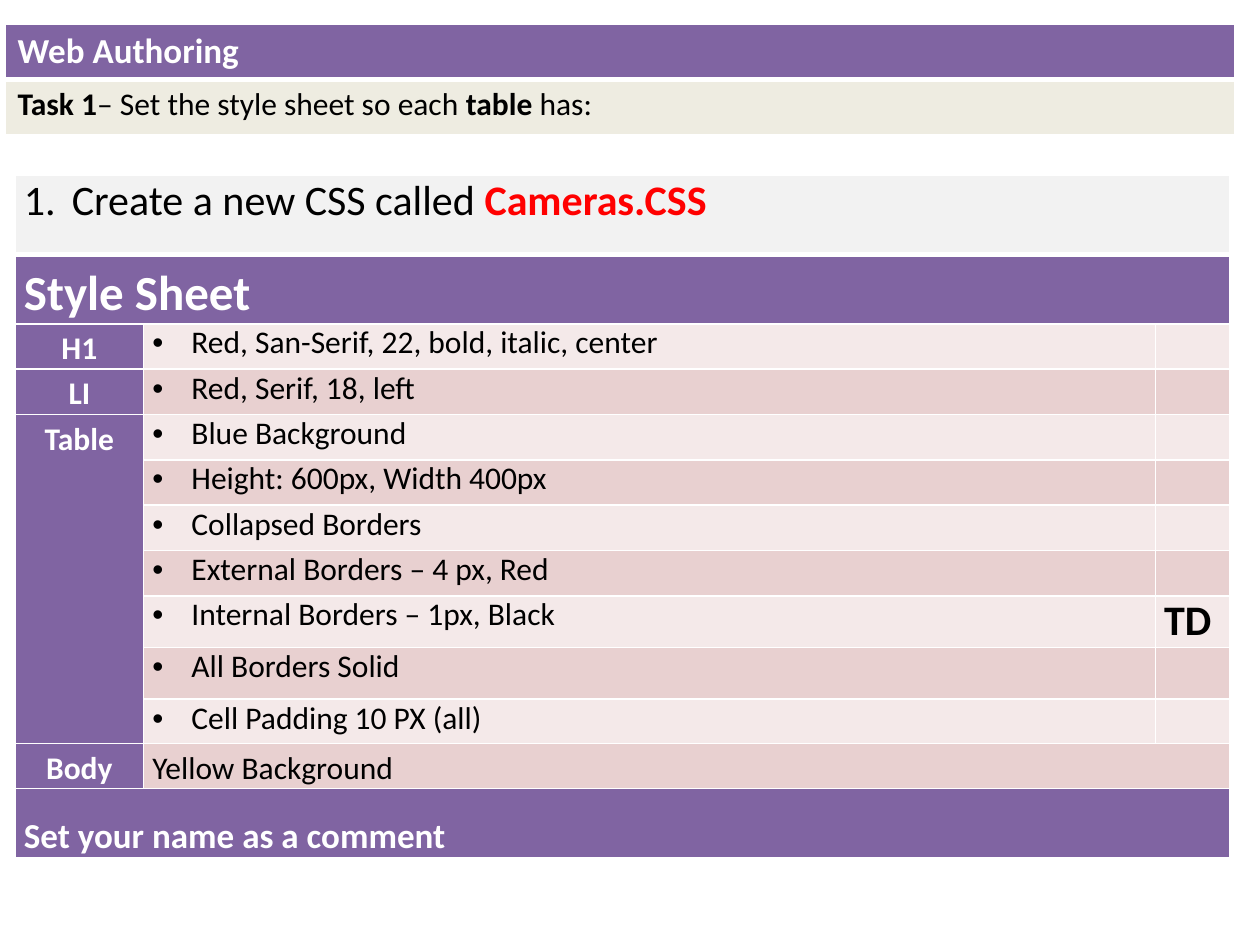
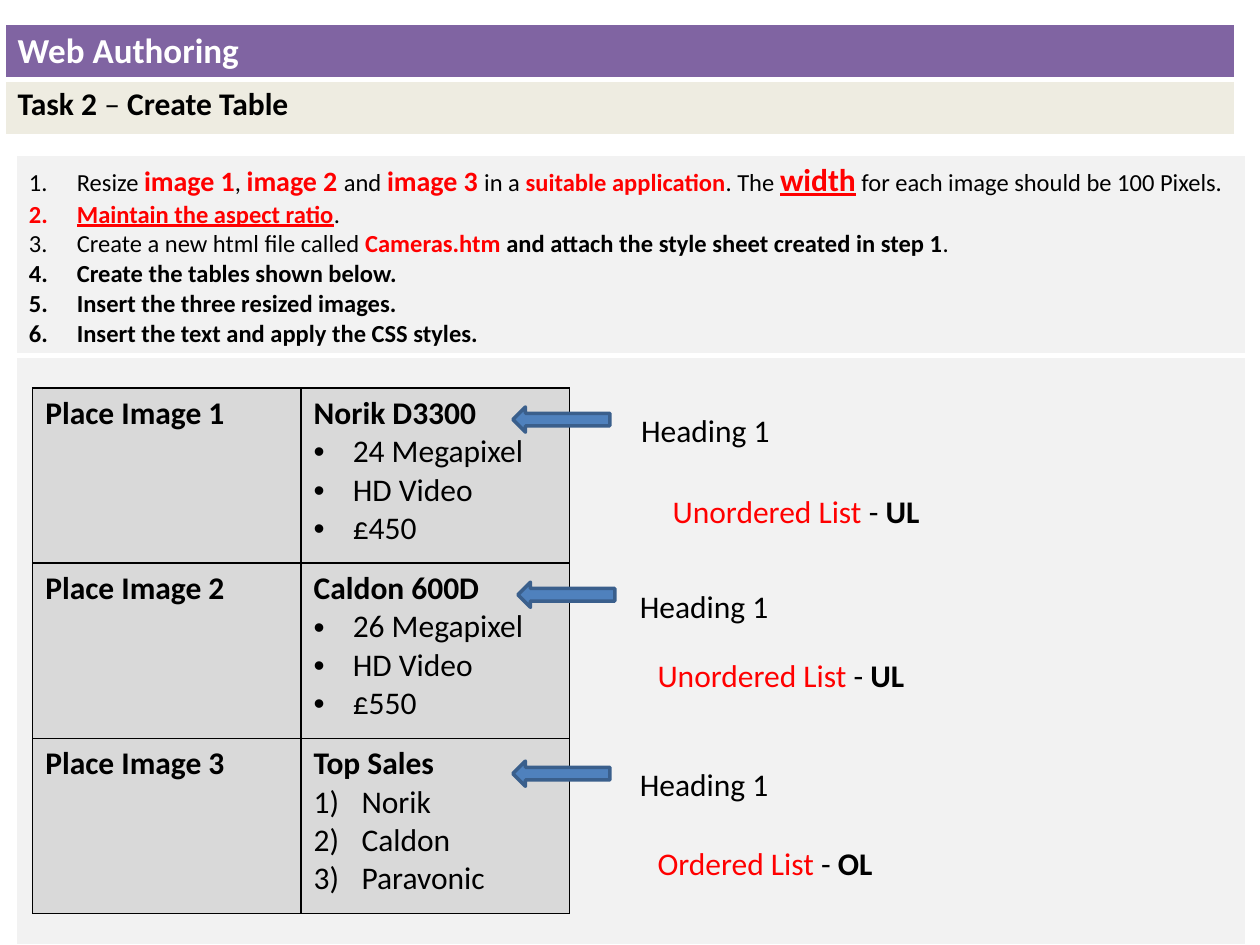
from dataclasses import dataclass
from lxml.etree import SubElement
from pptx import Presentation
from pptx.dml.color import RGBColor
from pptx.enum.shapes import MSO_SHAPE as Shape
from pptx.enum.text import MSO_ANCHOR as Anchor, MSO_AUTO_SIZE as AutoSize, PP_ALIGN as Align
from pptx.oxml.ns import qn
from pptx.util import Inches, Pt


@dataclass(frozen=True)
class Theme:
    font: str = "Calibri"
    purple: str = "8064A2"
    cream: str = "EEECE1"
    panel: str = "F2F2F2"
    grey: str = "D9D9D9"
    bands: tuple = ("F4E9E9", "E8D0D0")
    white: str = "FFFFFF"
    black: str = "000000"
    red: str = "FF0000"
    arrow: str = "4F81BD"
    arrow_edge: str = "3A5F8C"
    small: int = 14
    medium: int = 16
    body: int = 18
    heading: int = 20
    large: int = 24
    banner: int = 28


THEME = Theme()
BOLD = dict(bold=True)
PLAIN = dict(bold=False)
RED = dict(color=THEME.red)
RED_BOLD = dict(color=THEME.red, bold=True)
IMAGE_NAME = dict(RED_BOLD, size=THEME.medium)
UNDERLINED = dict(RED_BOLD, underline=True)

BULLET = ("buChar", {"char": "•"}, 0.31)
NUMBER = ("buAutoNum", {"type": "arabicPeriod"}, 0.38)
BRACKET = ("buAutoNum", {"type": "arabicParenR"}, 0.38)

COURSE = "Web Authoring"
TASKS = [
    [("Task 1", BOLD), "– Set the style sheet so each ", ("table", BOLD), " has:"],
    [("Task 2 ", BOLD), "– ", ("Create Table", BOLD)],
]

CREATE_SHEET = ["Create a new CSS called ", ("Cameras.CSS", RED_BOLD)]
STYLE_RULES = [
    ("H1", ["Red, San-Serif, 22, bold, italic, center"]),
    ("LI", ["Red, Serif, 18, left"]),
    ("Table", [
        "Blue Background",
        "Height: 600px, Width 400px",
        "Collapsed Borders",
        "External Borders – 4 px, Red",
        "Internal Borders – 1px, Black",
        "All Borders Solid",
        "Cell Padding 10 PX (all)",
    ]),
]
RULE_NOTES = {"Internal Borders – 1px, Black": "TD"}
SHEET_COLUMNS = [1.02, 8.03, 0.59]
SHEET_ROWS = [0.63, 0.55] + [0.36] * 6 + [0.41, 0.41, 0.35, 0.36, 0.55]

STEPS = [
    ["Resize ", ("image 1", IMAGE_NAME), ", ", ("image 2 ", IMAGE_NAME), "and ",
     ("image 3 ", IMAGE_NAME), "in a ", ("suitable application", RED_BOLD), ". The ",
     ("width", dict(UNDERLINED, size=THEME.body)), " for each image should be 100 Pixels."],
    [("Maintain the aspect ratio", UNDERLINED), "."],
    ["Create a new html file called ", ("Cameras.htm", RED_BOLD),
     (" and attach the style sheet created in step 1", BOLD), "."],
    [("Create the tables shown below.", BOLD)],
    [("Insert the three resized images.", BOLD)],
    [("Insert the text and apply the CSS styles.", BOLD)],
]
CAMERAS = [
    ("Place Image 1", "Norik D3300", BULLET, ["24 Megapixel", "HD Video", "£450"]),
    ("Place Image 2", "Caldon 600D", BULLET, ["26 Megapixel", "HD Video", "£550"]),
    ("Place Image 3", "Top Sales", BRACKET, ["Norik", "Caldon", "Paravonic"]),
]
CALLOUTS = [
    dict(arrow=(4.07, 3.23), heading=(4.99, 3.21), tag=(5.24, 3.86, 2.18),
         kind="Unordered List ", code="UL"),
    dict(arrow=(4.11, 4.62), heading=(4.98, 4.61), tag=(5.12, 5.16, 2.18),
         kind="Unordered List ", code="UL"),
    dict(arrow=(4.07, 6.04), heading=(4.98, 6.02), tag=(5.12, 6.65, 1.92),
         kind="Ordered List ", code="OL"),
]


def write(frame, spans, first=True, mark=None, align=None, spacing=None,
          size=THEME.body, color=THEME.black, bold=False):
    para = frame.paragraphs[0] if first else frame.add_paragraph()
    if mark:
        tag, attributes, indent = mark
        props = para._p.get_or_add_pPr()
        props.set("marL", str(Inches(indent)))
        props.set("indent", str(-Inches(indent)))
        if tag == "buChar":
            SubElement(props, qn("a:buFont"), typeface="Arial")
        SubElement(props, qn(f"a:{tag}"), attributes)
    if align is not None:
        para.alignment = align
    if spacing:
        para.line_spacing = spacing
    for item in [spans] if isinstance(spans, str) else spans:
        text, extra = (item, {}) if isinstance(item, str) else item
        look = dict(size=size, color=color, bold=bold, underline=False) | extra
        span = para.add_run()
        span.text = text
        span.font.name = THEME.font
        span.font.size = Pt(look["size"])
        span.font.bold = look["bold"]
        span.font.underline = look["underline"]
        span.font.color.rgb = RGBColor.from_string(look["color"])


def set_borders(cell, color, top=1, bottom=1):
    props = cell._tc.get_or_add_tcPr()
    for side, width in (("L", 1), ("R", 1), ("T", top), ("B", bottom)):
        line = SubElement(props, qn(f"a:ln{side}"), w=str(Pt(width)))
        solid = SubElement(line, qn("a:solidFill"))
        SubElement(solid, qn("a:srgbClr"), val=color)


def paint(cell, color):
    cell.fill.solid()
    cell.fill.fore_color.rgb = RGBColor.from_string(color)


def add_grid(page, left, top, columns, rows, fills, border=THEME.white, rule=False,
             margins=(0.1, 0.05)):
    frame = page.shapes.add_table(len(rows), len(columns), Inches(left), Inches(top),
                                  Inches(sum(columns)), Inches(sum(rows)))
    grid = frame.table
    grid.first_row = grid.horz_banding = False
    for column, width in zip(grid.columns, columns):
        column.width = Inches(width)
    for index, (row, height, fill) in enumerate(zip(grid.rows, rows, fills)):
        row.height = Inches(height)
        for cell in row.cells:
            cell.margin_left = cell.margin_right = Inches(margins[0])
            cell.margin_top = cell.margin_bottom = Inches(margins[1])
            set_borders(cell, border, top=3 if rule and index == 1 else 1,
                        bottom=3 if rule and index == 0 else 1)
            paint(cell, fill)
    return grid


def add_page(deck, task):
    page = deck.slides.add_slide(deck.slide_layouts[6])
    header = add_grid(page, 0.04, 0.19, [9.76], [0.44, 0.44],
                      [THEME.purple, THEME.cream], rule=True)
    write(header.cell(0, 0).text_frame, COURSE, size=THEME.heading,
          color=THEME.white, bold=True)
    write(header.cell(1, 0).text_frame, task)
    return page


def add_label(page, spans, left, top, width, wrap):
    box = page.shapes.add_textbox(Inches(left), Inches(top), Inches(width), Inches(0.4))
    box.text_frame.word_wrap = wrap
    box.text_frame.auto_size = AutoSize.SHAPE_TO_FIT_TEXT
    write(box.text_frame, spans)


def add_arrow(page, left, top):
    arrow = page.shapes.add_shape(Shape.RIGHT_ARROW, Inches(left), Inches(top),
                                  Inches(0.77), Inches(0.2))
    arrow.rotation = 180
    arrow.shadow.inherit = False
    arrow.fill.solid()
    arrow.fill.fore_color.rgb = RGBColor.from_string(THEME.arrow)
    arrow.line.color.rgb = RGBColor.from_string(THEME.arrow_edge)
    arrow.line.width = Pt(2)


def build_style_sheet(deck):
    page = add_page(deck, TASKS[0])
    last = len(SHEET_ROWS) - 1
    fills = [THEME.panel, THEME.purple]
    fills += [THEME.bands[row % 2] for row in range(2, last)] + [THEME.purple]
    grid = add_grid(page, 0.12, 1.39, SHEET_COLUMNS, SHEET_ROWS, fills, rule=True,
                    margins=(0.07, 0))
    light = dict(color=THEME.white, bold=True, spacing=1.15)

    for row in (0, 1, last):
        grid.cell(row, 0).merge(grid.cell(row, 2))
    write(grid.cell(0, 0).text_frame, CREATE_SHEET, mark=NUMBER, size=THEME.large)
    write(grid.cell(1, 0).text_frame, "Style Sheet", size=THEME.banner, **light)
    grid.cell(last, 0).vertical_anchor = Anchor.BOTTOM
    write(grid.cell(last, 0).text_frame, "Set your name as a comment",
          size=THEME.heading, **light)

    row = 2
    for selector, rules in STYLE_RULES + [("Body", [])]:
        name = grid.cell(row, 0)
        if len(rules) > 1:
            name.merge(grid.cell(row + len(rules) - 1, 0))
        paint(name, THEME.purple)
        write(name.text_frame, selector, align=Align.CENTER, **light)
        for rule in rules:
            write(grid.cell(row, 1).text_frame, rule, mark=BULLET)
            if rule in RULE_NOTES:
                write(grid.cell(row, 2).text_frame, RULE_NOTES[rule],
                      size=THEME.large, bold=True)
            row += 1
    grid.cell(row, 1).merge(grid.cell(row, 2))
    write(grid.cell(row, 1).text_frame, "Yellow Background", spacing=1.15)


def build_camera_table(deck):
    page = add_page(deck, TASKS[1])
    panel = add_grid(page, 0.13, 1.23, [9.76], [1.59, 4.68], [THEME.panel] * 2, rule=True)
    for index, step in enumerate(STEPS):
        write(panel.cell(0, 0).text_frame, step, first=index == 0, mark=NUMBER,
              size=THEME.small)

    grid = add_grid(page, 0.26, 3.08, [2.13] * 2, [1.39] * 3, [THEME.grey] * 3,
                    border=THEME.black)
    for row, (place, heading, mark, features) in enumerate(CAMERAS):
        write(grid.cell(row, 0).text_frame, place, bold=True)
        details = grid.cell(row, 1).text_frame
        write(details, heading, bold=True)
        for feature in features:
            write(details, feature, first=False, mark=mark)

    for callout in CALLOUTS:
        add_arrow(page, *callout["arrow"])
        add_label(page, "Heading 1", *callout["heading"], 2.13, wrap=True)
        add_label(page, [(callout["kind"], RED), "- ", (callout["code"], BOLD)],
                  *callout["tag"], wrap=False)


def main():
    deck = Presentation()
    deck.slide_width, deck.slide_height = Inches(10), Inches(7.5)
    build_style_sheet(deck)
    build_camera_table(deck)
    deck.save("out.pptx")


if __name__ == "__main__":
    main()
